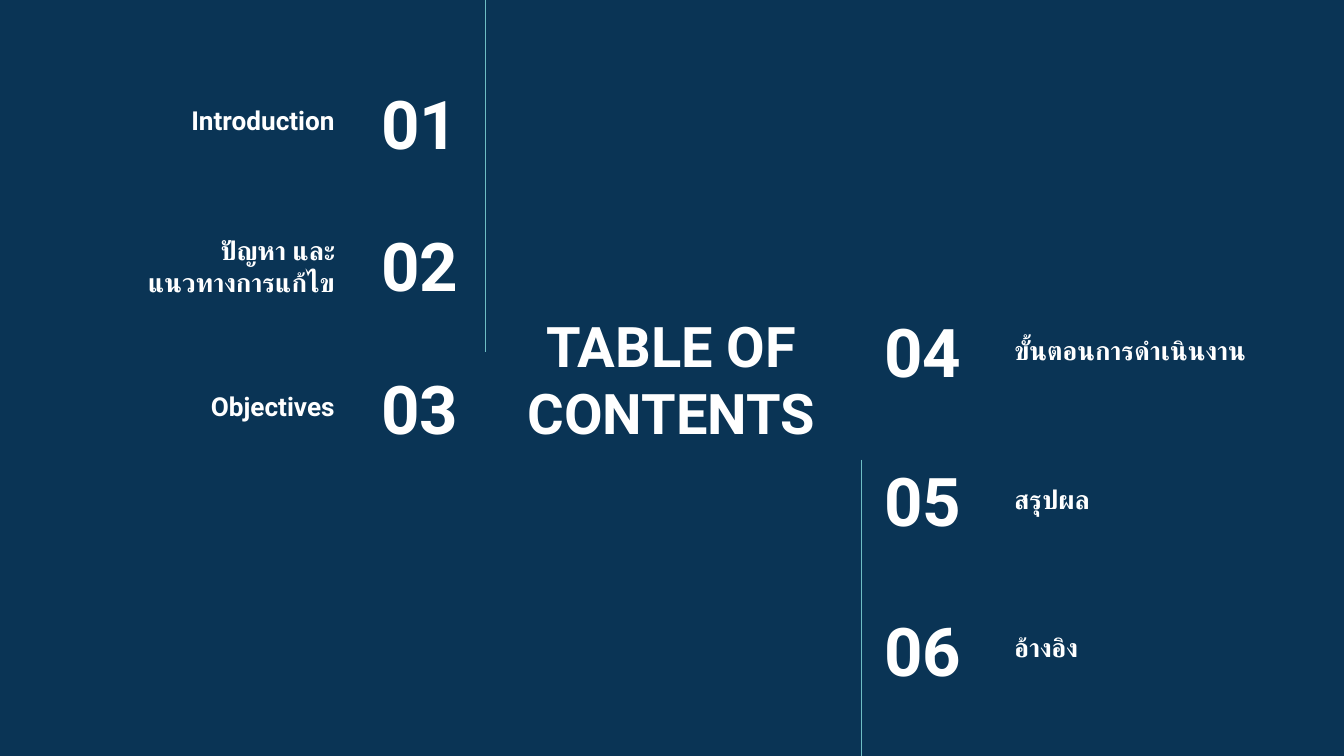
from lxml import etree
from pptx import Presentation
from pptx.dml.color import RGBColor
from pptx.enum import shapes, text
from pptx.oxml import ns
from pptx.util import Cm, Pt

HUES = {"back": "0A3455", "text": "FFFFFF", "line": "6EBDC4"}
FONT = "Roboto"
LEFT, MID, RIGHT = text.PP_ALIGN.LEFT, text.PP_ALIGN.CENTER, text.PP_ALIGN.RIGHT
MIDDLE, BOTTOM = text.MSO_ANCHOR.MIDDLE, text.MSO_ANCHOR.BOTTOM

prs = Presentation()
prs.slide_width, prs.slide_height = Cm(25.4), Cm(14.29)
slide = prs.slides.add_slide(prs.slide_layouts[5])
slide.background.fill.solid()
slide.background.fill.fore_color.rgb = RGBColor.from_string(HUES["back"])


def write(box, words, place, size, align, anchor=MIDDLE):
    """Place a box and fill it with bold white text."""
    box.left, box.top, box.width, box.height = [Cm(n) for n in place]
    frame = box.text_frame
    frame.word_wrap = True
    frame.auto_size = text.MSO_AUTO_SIZE.NONE
    frame.vertical_anchor = anchor
    frame.margin_left = frame.margin_right = Cm(0.25)
    frame.margin_top = frame.margin_bottom = Cm(0.25)
    para = frame.paragraphs[0]
    para.text = words
    para.alignment = align
    para.line_spacing = 1.0
    for run in para.runs:
        font = run.font
        font.name, font.size, font.bold = FONT, Pt(size), True
        font.color.rgb = RGBColor.from_string(HUES["text"])
        # Thai letters use the complex script font
        thai = etree.SubElement(run._r.get_or_add_rPr(), ns.qn("a:cs"))
        thai.set("typeface", FONT)


# Title
write(slide.shapes.title, "TABLE OF CONTENTS", (9.4, 5.84, 6.58, 2.62), 30, MID)

# Entries: label, top and height of the label box
sides = [
    {"align": RIGHT, "label": 1.09, "num": 5.84, "wide": 3.07,
     "top": 1.52, "step": 2.69, "first": 1,
     "rows": [("Introduction", 1.22, 1.6),
              ("ปัญหา และ\nแนวทางการแก้ไข", 4.27, 1.6),
              ("Objectives", 7.16, 1.07)]},
    {"align": LEFT, "label": 18.92, "num": 16.46, "wide": 2.97,
     "top": 5.82, "step": 2.83, "first": 4,
     "rows": [("ขั้นตอนการดำเนินงาน", 6.12, 1.04),
              ("สรุปผล", 8.99, 0.99),
              ("อ้างอิง", 11.79, 0.99)]},
]
for side in sides:
    for i, (label, top, high) in enumerate(side["rows"]):
        box = slide.shapes.add_textbox(0, 0, 0, 0)
        write(box, label, (side["label"], top, 5.49, high), 14, side["align"], BOTTOM)
        box = slide.shapes.add_textbox(0, 0, 0, 0)
        place = (side["num"], side["top"] + i * side["step"], side["wide"], 1.6)
        write(box, f"{side['first'] + i:02}", place, 36, side["align"])

# Vertical rules
for x, top, end in [(9.17, 0, 6.65), (16.28, 8.69, 14.29)]:
    rule = slide.shapes.add_connector(
        shapes.MSO_CONNECTOR.STRAIGHT, Cm(x), Cm(top), Cm(x), Cm(end))
    rule.line.color.rgb = RGBColor.from_string(HUES["line"])
    rule.line.width = Pt(0.75)
    etree.SubElement(rule._element.spPr, ns.qn("a:effectLst"))

prs.save("out.pptx")
